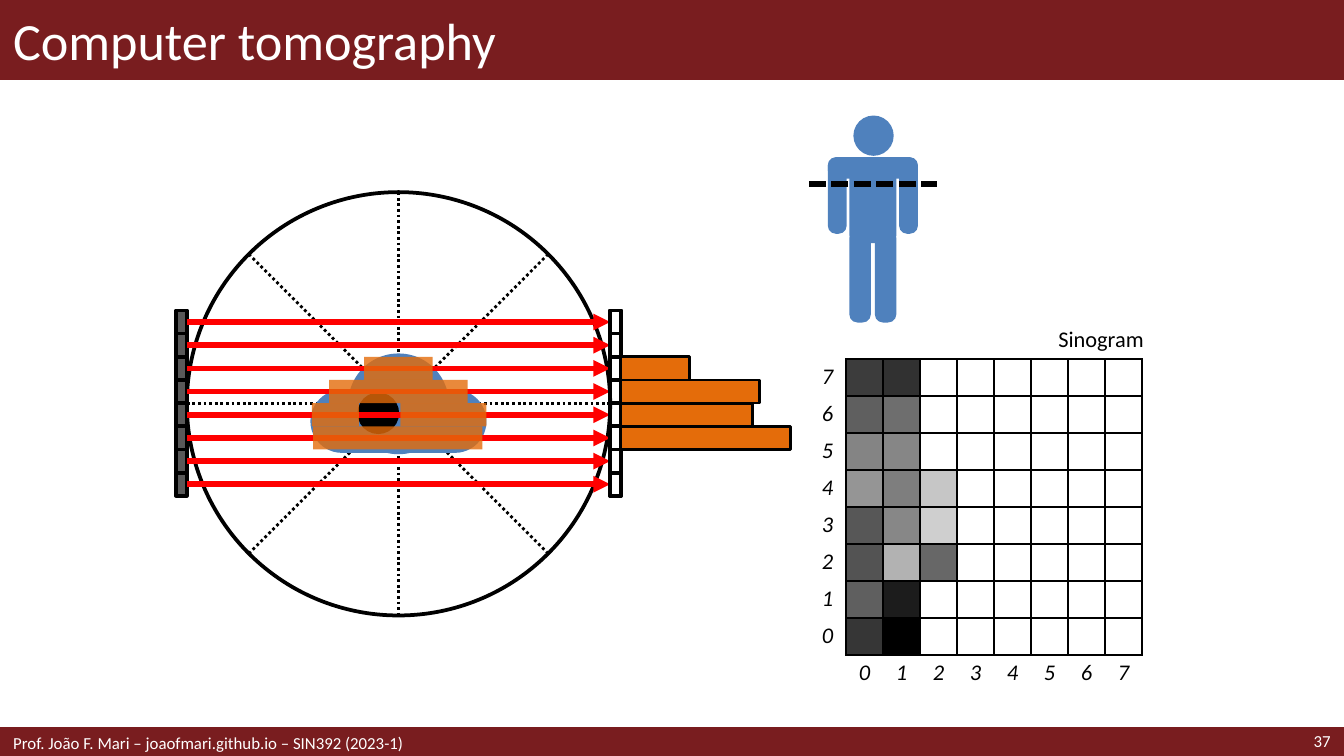
"""Build the computer tomography slide: scanner, patient and sinogram."""
from math import cos, radians, sin
from typing import NamedTuple, Optional

from lxml.etree import SubElement
from pptx import Presentation
from pptx.dml.color import RGBColor
from pptx.enum.dml import MSO_LINE as Dash
from pptx.enum.shapes import MSO_CONNECTOR, MSO_SHAPE as Kind
from pptx.enum.text import MSO_ANCHOR as Anchor, PP_ALIGN as Align
from pptx.oxml.ns import qn
from pptx.util import Inches, Pt

BLACK = RGBColor(0, 0, 0)
WHITE = RGBColor(255, 255, 255)
MAROON = RGBColor(0x79, 0x1D, 0x1F)
BLUE = RGBColor(0x4F, 0x81, 0xBD)
GRAY = RGBColor(0x59, 0x59, 0x59)
RED = RGBColor(255, 0, 0)
ORANGE = RGBColor(0xE4, 0x6C, 0x0A)

FONT = "Calibri"
NO_STYLE = "{2D5ABB26-0587-4C30-8999-92F81FD0307C}"
SLIDE_WIDTH = 10
SLIDE_HEIGHT = SLIDE_WIDTH * 9 / 16
RAYS = 8
RAY_TOP, RAY_SPAN = 2.31, 1.38
RAY_PITCH = RAY_SPAN / RAYS
CELL_WIDTH = 0.08
SOURCE_LEFT, DETECTOR_LEFT = 1.31, 4.54
RADIUS = 1.575
CENTER_X, CENTER_Y = 1.39 + RADIUS, 1.43 + RADIUS
GRID_SIZE, GRID_LEFT, GRID_TOP = 2.48, 6.02, 2.67


class Part(NamedTuple):
    kind: Kind
    left: float
    top: float
    width: float
    height: float
    corner: Optional[float] = None


class Band(NamedTuple):
    ray: int
    left: float
    width: float


ORGANS = [
    Part(Kind.OVAL, 2.59, 2.63, 0.75, 0.75),
    Part(Kind.OVAL, 3.15, 2.9, 0.47, 0.47),
    Part(Kind.RECTANGLE, 2.54, 2.9, 0.85, 0.47),
    Part(Kind.OVAL, 2.31, 2.9, 0.47, 0.47),
]
CAVITY = Part(Kind.OVAL, 2.66, 2.92, 0.31, 0.31)
PATIENT = [
    Part(Kind.ROUNDED_RECTANGLE, 6.16, 1.17, 0.14, 0.57, 0.43),
    Part(Kind.ROUNDED_RECTANGLE, 6.16, 1.17, 0.67, 0.16, 0.39),
    Part(Kind.ROUNDED_RECTANGLE, 6.69, 1.17, 0.14, 0.57, 0.43),
    Part(Kind.ROUNDED_RECTANGLE, 6.32, 1.17, 0.35, 0.64, 0.17),
    Part(Kind.ROUNDED_RECTANGLE, 6.32, 1.71, 0.16, 0.69, 0.38),
    Part(Kind.OVAL, 6.35, 0.86, 0.3, 0.3),
    Part(Kind.ROUNDED_RECTANGLE, 6.51, 1.71, 0.16, 0.69, 0.38),
]
ABSORBED = [Band(2, 2.71, 0.51), Band(3, 2.45, 1.03), Band(4, 2.32, 0.35),
            Band(5, 2.33, 1.26), Band(4, 2.98, 0.64)]
PROFILE = {4: 0.98, 2: 0.51, 3: 1.03, 5: 1.26}
SINOGRAM = [
    ("3C3C3C", "313131"),
    ("5F5F5F", "6E6E6E"),
    ("848484", "868686", "FFFFFF"),
    ("959595", "7E7E7E", "C6C6C6"),
    ("575757", "878787", "CFCFCF"),
    ("535353", "B2B2B2", "676767"),
    ("5F5F5F", "1C1C1C"),
    ("363636", "000000"),
]


def draw_part(slide, part: Part, fill: Optional[RGBColor] = None, outline: float = 0,
              edge: RGBColor = BLACK, alpha: int = 100) -> None:
    shape = slide.shapes.add_shape(part.kind, *map(Inches, part[1:5]))
    shape.shadow.inherit = False
    if part.corner is not None:
        shape.adjustments[0] = part.corner
    if fill is None:
        shape.fill.background()
    else:
        shape.fill.solid()
        shape.fill.fore_color.rgb = fill
    if alpha < 100:
        color = shape._element.spPr.find(qn("a:solidFill"))[0]
        SubElement(color, qn("a:alpha"), val=str(alpha * 1000))
    if outline:
        shape.line.color.rgb = edge
        shape.line.width = Pt(outline)
    else:
        shape.line.fill.background()


def draw_line(slide, start: tuple[float, float], end: tuple[float, float], color: RGBColor,
              width: float, dash: Optional[Dash] = None, arrow: bool = False) -> None:
    line = slide.shapes.add_connector(MSO_CONNECTOR.STRAIGHT, *map(Inches, start + end))
    line.line.color.rgb = color
    line.line.width = Pt(width)
    if dash is not None:
        line.line.dash_style = dash
    if arrow:
        SubElement(line.line._get_or_add_ln(), qn("a:tailEnd"), type="triangle")
    SubElement(line._element.spPr, qn("a:effectLst"))


def write(paragraph, text: str, *, size: float, color: RGBColor = BLACK,
          align: Align = Align.LEFT, italic: bool = False) -> None:
    paragraph.alignment = align
    run = paragraph.add_run()
    run.text = text
    run.font.name, run.font.size, run.font.italic = FONT, Pt(size), italic
    run.font.color.rgb = color


def add_label(slide, text: str, box: tuple[float, float, float, float], *, margin: float = 0.1,
              anchor: Anchor = Anchor.MIDDLE, **style) -> None:
    frame = slide.shapes.add_textbox(*map(Inches, box)).text_frame
    frame.word_wrap = True
    frame.vertical_anchor = anchor
    frame.margin_left, frame.margin_right = Inches(0.1), Inches(margin)
    frame.margin_top = frame.margin_bottom = 0
    write(frame.paragraphs[0], text, **style)


def ray_cell(ray: int, left: float, width: float) -> Part:
    return Part(Kind.RECTANGLE, left, RAY_TOP + ray * RAY_PITCH, width, RAY_PITCH)


def add_border(cell) -> None:
    properties = cell._tc.get_or_add_tcPr()
    for position, side in enumerate(("lnL", "lnR", "lnT", "lnB")):
        edge = SubElement(properties, qn(f"a:{side}"), w=str(Pt(1)))
        SubElement(SubElement(edge, qn("a:solidFill")), qn("a:srgbClr"), val=str(BLACK))
        properties.insert(position, edge)


def draw_sinogram(slide) -> None:
    count = RAYS + 1
    table = slide.shapes.add_table(count, count, Inches(GRID_LEFT), Inches(GRID_TOP),
                                   Inches(GRID_SIZE), Inches(GRID_SIZE)).table
    table.first_row = table.horz_banding = False
    table._tbl.tblPr.find(qn("a:tableStyleId")).text = NO_STYLE
    for row in range(count):
        for column in range(count):
            cell = table.cell(row, column)
            cell.margin_left = cell.margin_right = cell.margin_top = cell.margin_bottom = 0
            cell.vertical_anchor = Anchor.MIDDLE
            cell.fill.background()
            paragraph = cell.text_frame.paragraphs[0]
            in_grid = row < RAYS and column > 0
            if in_grid or (row == RAYS and column == 0):
                SubElement(paragraph._p, qn("a:endParaRPr"), sz="1200")
            else:
                number = RAYS - 1 - row if column == 0 else column - 1
                write(paragraph, str(number), size=12, align=Align.CENTER, italic=True)
            if in_grid:
                if column <= len(SINOGRAM[row]):
                    cell.fill.solid()
                    cell.fill.fore_color.rgb = RGBColor.from_string(SINOGRAM[row][column - 1])
                add_border(cell)


def draw_scanner(slide) -> None:
    for angle in range(0, 180, 45):
        dx, dy = RADIUS * cos(radians(angle)), RADIUS * sin(radians(angle))
        draw_line(slide, (CENTER_X - dx, CENTER_Y - dy), (CENTER_X + dx, CENTER_Y + dy),
                  BLACK, 1.5, Dash.ROUND_DOT)
    draw_part(slide, Part(Kind.OVAL, CENTER_X - RADIUS, CENTER_Y - RADIUS,
                          2 * RADIUS, 2 * RADIUS), outline=2)
    for organ in ORGANS:
        draw_part(slide, organ, BLUE)
    draw_part(slide, CAVITY, BLACK)
    draw_part(slide, Part(Kind.RECTANGLE, DETECTOR_LEFT, RAY_TOP, CELL_WIDTH, RAY_SPAN), outline=2)
    for ray in range(RAYS):
        draw_part(slide, ray_cell(ray, SOURCE_LEFT, CELL_WIDTH), GRAY, outline=2)
        height = RAY_TOP + (ray + 0.5) * RAY_PITCH
        draw_line(slide, (1.39, height), (DETECTOR_LEFT, height), RED, 3, arrow=True)
        draw_part(slide, ray_cell(ray, DETECTOR_LEFT, CELL_WIDTH), outline=2)
    for band in ABSORBED:
        draw_part(slide, ray_cell(*band), ORANGE, alpha=80)
    for ray, length in PROFILE.items():
        draw_part(slide, ray_cell(ray, DETECTOR_LEFT + CELL_WIDTH, length), ORANGE, outline=1.5)


def main() -> None:
    deck = Presentation()
    deck.slide_width, deck.slide_height = Inches(SLIDE_WIDTH), Inches(SLIDE_HEIGHT)
    slide = deck.slides.add_slide(deck.slide_layouts[6])
    draw_part(slide, Part(Kind.RECTANGLE, 0, 0, 10, 0.59), MAROON, 1, MAROON)
    draw_part(slide, Part(Kind.RECTANGLE, 0, 5.42, 10, 0.21), MAROON, 2, MAROON)
    add_label(slide, "Computer tomography", (0, 0, 10, 0.59), size=28, color=WHITE)
    add_label(slide, "37", (8.86, 5.41, 1.14, 0.21), size=9, color=WHITE, align=Align.RIGHT)
    add_label(slide, "Prof. João F. Mari – joaofmari.github.io – SIN392 (2023-1)",
              (0, 5.42, 6.89, 0.21), size=9, color=WHITE)
    draw_scanner(slide)
    for limb in PATIENT:
        draw_part(slide, limb, BLUE)
    draw_line(slide, (6.02, 1.37), (6.97, 1.37), BLACK, 3, Dash.SQUARE_DOT)
    draw_sinogram(slide)
    add_label(slide, "Sinogram", (6.46, 2.42, 2.05, 0.21), margin=0, anchor=Anchor.TOP,
              size=12, align=Align.RIGHT)
    deck.save("out.pptx")


if __name__ == "__main__":
    main()
